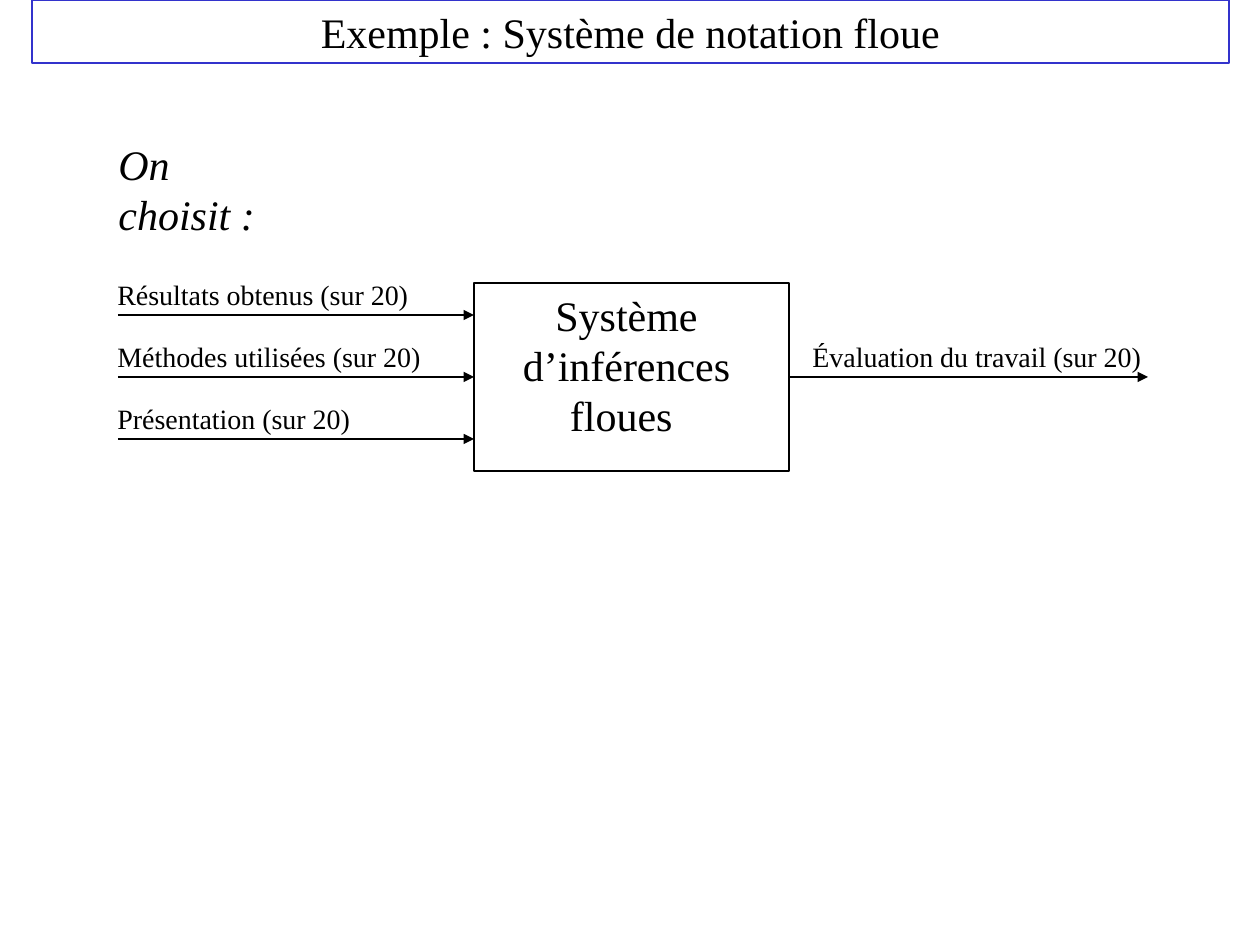
from lxml.etree import SubElement
from pptx import Presentation
from pptx.dml.color import RGBColor
from pptx.enum.shapes import MSO_CONNECTOR, MSO_SHAPE
from pptx.enum.text import MSO_ANCHOR, PP_ALIGN
from pptx.oxml.ns import qn
from pptx.util import Pt

EMU_PER_PX = 914400 / 126
FONT = "Times New Roman"
COLORS = {"ink": "000000", "title_border": "3333CC"}
LINE_WIDTH = Pt(0.75)
INPUTS = [
    ("Résultats obtenus (sur 20)", 318),
    ("Méthodes utilisées (sur 20)", 330),
    ("Présentation (sur 20)", 260),
]
OUTPUT = ("Évaluation du travail (sur 20)", 357)
LABEL_HEIGHT = 47
LABEL_RISE = 44
ROW_PITCH = 62
ARROW_LENGTH = 356


def px(value):
    return round(value * EMU_PER_PX)


def color(name):
    return RGBColor.from_string(COLORS[name])


def write_text(shape, text, size=16, italic=False, align=PP_ALIGN.LEFT,
               anchor=MSO_ANCHOR.TOP, wrap=True):
    frame = shape.text_frame
    frame.word_wrap = wrap
    frame.vertical_anchor = anchor
    paragraph = frame.paragraphs[0]
    paragraph.alignment = align
    run = paragraph.add_run()
    run.text = text
    run.font.name = FONT
    run.font.size = Pt(size)
    run.font.italic = italic
    run.font.color.rgb = color("ink")


def add_text(slide, box, text, **text_format):
    shape = slide.shapes.add_textbox(*map(px, box))
    write_text(shape, text, **text_format)


def add_frame(slide, box, border):
    shape = slide.shapes.add_shape(MSO_SHAPE.RECTANGLE, *map(px, box))
    shape.shadow.inherit = False
    shape.fill.background()
    shape.line.color.rgb = color(border)
    shape.line.width = LINE_WIDTH
    return shape


def add_arrow(slide, left, right, y):
    arrow = slide.shapes.add_connector(
        MSO_CONNECTOR.STRAIGHT, px(left), px(y), px(right), px(y))
    arrow.line.color.rgb = color("ink")
    arrow.line.width = LINE_WIDTH
    SubElement(arrow.line._get_or_add_ln(), qn("a:tailEnd"), type="triangle")
    SubElement(arrow._element.spPr, qn("a:effectLst"))
    return arrow


def add_title(slide, box):
    frame = add_frame(slide, box, "title_border")
    write_text(frame, "Exemple : Système de notation floue", size=24,
               align=PP_ALIGN.CENTER, anchor=MSO_ANCHOR.MIDDLE)


def add_inference_diagram(slide, box):
    """Place the system box with its input arrows and its output arrow."""
    left, top, width, height = box
    middle = top + height // 2
    right = left + width
    system = add_frame(slide, box, "ink")
    add_text(slide, (left + 31, top, 243, 164), "Système d’inférences floues ",
             size=24, align=PP_ALIGN.CENTER)

    start = left - ARROW_LENGTH
    for row, (label, label_width) in enumerate(INPUTS):
        y = middle + (row - 1) * ROW_PITCH
        arrow = add_arrow(slide, start, left, y)
        if y == middle:
            arrow.end_connect(system, 1)
        add_text(slide, (start - 13, y - LABEL_RISE, label_width, LABEL_HEIGHT),
                 label, wrap=False)

    label, label_width = OUTPUT
    arrow = add_arrow(slide, right, right + ARROW_LENGTH + 3, middle)
    arrow.begin_connect(system, 3)
    add_text(slide, (right + 11, middle - LABEL_RISE, label_width, LABEL_HEIGHT),
             label, wrap=False)


def main():
    presentation = Presentation()
    presentation.slide_width = px(1260)
    presentation.slide_height = px(945)
    slide = presentation.slides.add_slide(presentation.slide_layouts[6])
    add_title(slide, (32, 0, 1197, 63))
    add_inference_diagram(slide, (474, 283, 315, 188))
    add_text(slide, (106, 132, 223, 63), "On choisit :", size=24, italic=True,
             wrap=False)
    presentation.save("out.pptx")


if __name__ == "__main__":
    main()
